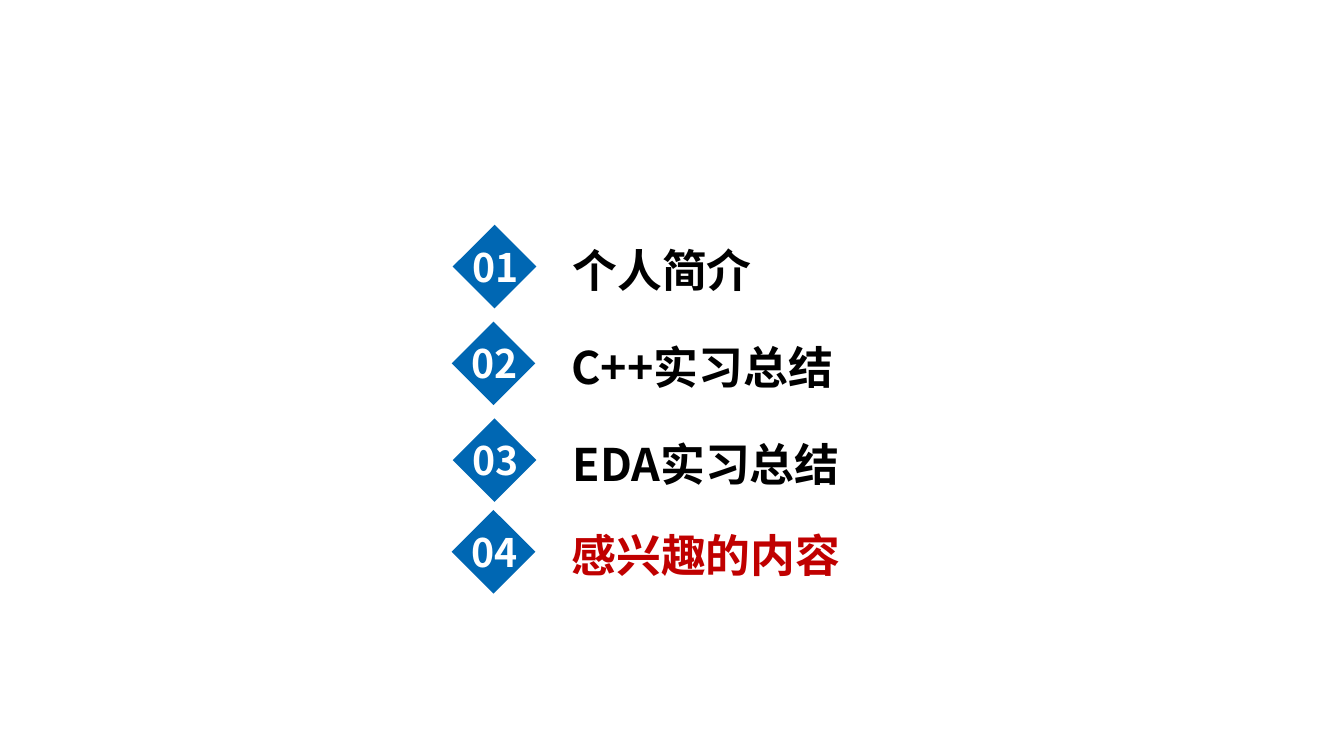
from lxml.etree import SubElement
from pptx import Presentation
from pptx.dml.color import RGBColor
from pptx.enum.shapes import MSO_SHAPE as Shape
from pptx.enum.text import MSO_AUTO_SIZE as AutoSize, PP_ALIGN as Align
from pptx.oxml.ns import qn
from pptx.util import Inches, Pt

BLUE = RGBColor(0x00, 0x67, 0xB3)
RED = RGBColor(0xC0, 0x00, 0x00)
BLACK = RGBColor(0x00, 0x00, 0x00)
WHITE = RGBColor(0xFF, 0xFF, 0xFF)
FONT = "Noto Sans CJK SC"


def write_text(frame, text, size, color, align=Align.LEFT):
    frame.word_wrap = True
    frame.auto_size = AutoSize.SHAPE_TO_FIT_TEXT
    paragraph = frame.paragraphs[0]
    paragraph.alignment = align
    run = paragraph.add_run()
    run.text = text
    run.font.size = Pt(size)
    run.font.bold = True
    run.font.color.rgb = color
    run.font.name = FONT
    # Chinese characters take their font from the East Asian slot
    SubElement(run.font._element, qn("a:ea"), typeface=FONT)


class AgendaSlide:
    diamond_side = 0.83

    def __init__(self, presentation):
        self.shapes = presentation.slides.add_slide(presentation.slide_layouts[6]).shapes

    def label(self, text, left, top, width, height, **style):
        box = self.shapes.add_textbox(Inches(left), Inches(top), Inches(width), Inches(height))
        write_text(box.text_frame, text, **style)

    def diamond(self, left, top):
        side = Inches(self.diamond_side)
        badge = self.shapes.add_shape(Shape.DIAMOND, Inches(left), Inches(top), side, side)
        badge.shadow.inherit = False
        badge.fill.solid()
        badge.fill.fore_color.rgb = BLUE
        badge.line.fill.background()

    def entry(self, number, title, left, top, color):
        self.label(title, left + 1.09, top + 0.13, 3.77, 0.64, size=32, color=color)
        self.diamond(left, top)
        self.label(f"{number:02}", left, top + 0.13, 0.85, 0.57,
                   size=28, color=WHITE, align=Align.CENTER)


def main():
    presentation = Presentation()
    presentation.slide_width = Inches(13.33)
    presentation.slide_height = Inches(7.5)
    agenda = AgendaSlide(presentation)

    # Agenda entries: title, left, top, title colour
    entries = [
        ("个人简介", 4.49, 2.23, BLACK),
        ("C++实习总结", 4.48, 3.19, BLACK),
        ("EDA实习总结", 4.49, 4.15, BLACK),
        ("感兴趣的内容", 4.48, 5.06, RED),
    ]
    for number, (title, left, top, color) in enumerate(entries, start=1):
        agenda.entry(number, title, left, top, color)

    presentation.save("out.pptx")


if __name__ == "__main__":
    main()
